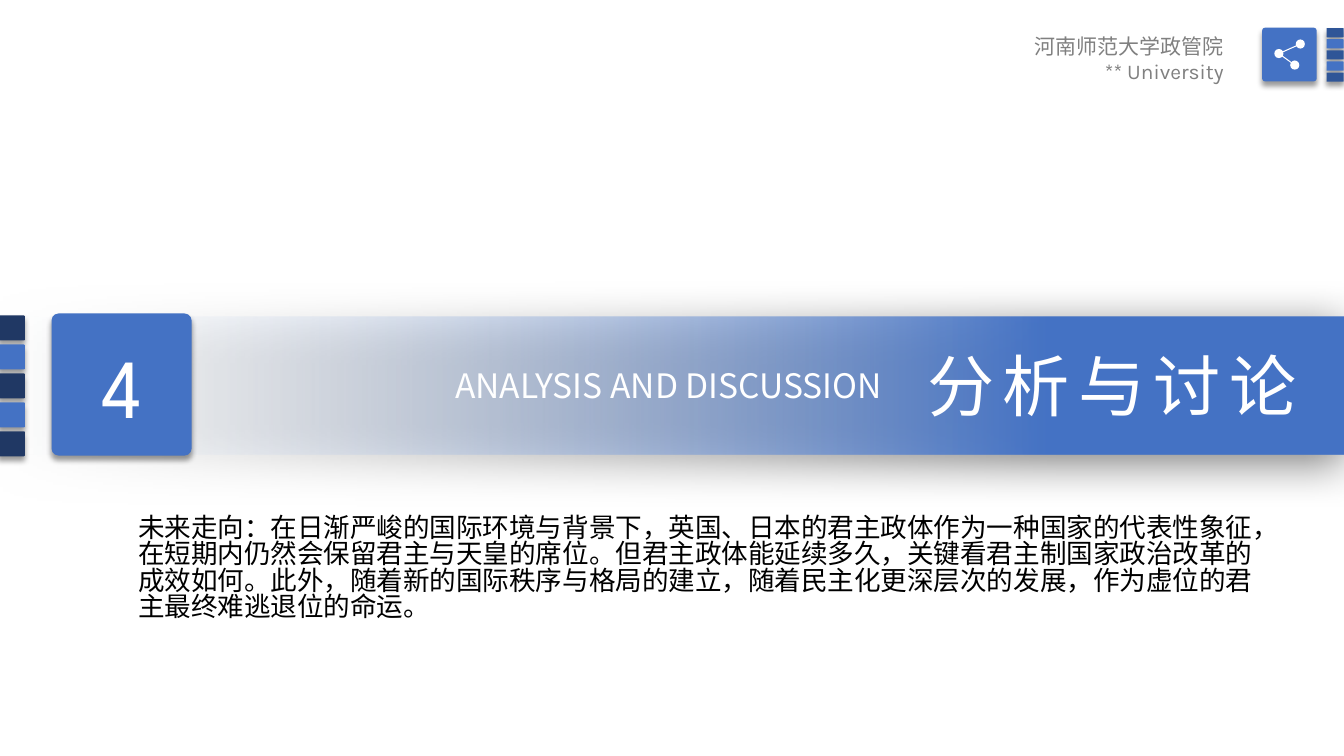
"""Build the section slide "分析与讨论" with its banner, header mark and summary."""
from dataclasses import dataclass
from typing import Any

from lxml import etree
from pptx import Presentation
from pptx import util as u
from pptx.dml.color import RGBColor
from pptx.enum import shapes, text
from pptx.oxml import ns

BLUE = RGBColor(0x44, 0x72, 0xC4)
NAVY = RGBColor(0x20, 0x38, 0x64)
DEEP = RGBColor(0x2F, 0x55, 0x97)
PALE = RGBColor(0xF7, 0xFA, 0xFD)
GREY = RGBColor(0x80, 0x80, 0x80)
WHITE = RGBColor(0xFF, 0xFF, 0xFF)
BLACK = RGBColor(0, 0, 0)
CJK, SPARTAN, KARLA = "Noto Sans CJK SC", "League Spartan", "Karla"
RECT, ROUND, OVAL = (
    shapes.MSO_SHAPE.RECTANGLE,
    shapes.MSO_SHAPE.ROUNDED_RECTANGLE,
    shapes.MSO_SHAPE.OVAL,
)
LEFT, CENTER, RIGHT = text.PP_ALIGN.LEFT, text.PP_ALIGN.CENTER, text.PP_ALIGN.RIGHT


@dataclass(frozen=True)
class Box:
    """Position and size in centimetres."""
    left: float
    top: float
    width: float
    height: float

    def emu(self) -> tuple[int, int, int, int]:
        """Return the box as lengths for python-pptx."""
        return u.Cm(self.left), u.Cm(self.top), u.Cm(self.width), u.Cm(self.height)


@dataclass(frozen=True)
class Style:
    """Font and alignment of a paragraph."""
    size: float
    font: str
    color: RGBColor
    align: Any = LEFT


@dataclass(frozen=True)
class Shadow:
    """Outer shadow: lengths in points, angle in degrees, opacity in percent."""
    blur: float
    dist: float
    angle: float
    opacity: int


@dataclass(frozen=True)
class Stack:
    """Column of small bars in alternating colours."""
    first: Box
    pitch: float
    colors: tuple[RGBColor, RGBColor]


TILE_SHADOW = Shadow(4, 3, 90, 40)
BAND_SHADOW = Shadow(31, 6, 97, 50)
BAR_COUNT = 5
STACKS = (
    Stack(Box(-0.05, 7.95, 0.68, 0.63), 0.73, (NAVY, BLUE)),
    Stack(Box(33.43, 0.71, 0.43, 0.23), 0.28, (DEEP, BLUE)),
)
SHARE_HUB = (32.23, 1.35)
SHARE_ENDS = ((32.77, 1.11), (32.63, 1.64))
SHARE_DOT = 0.23
SUMMARY = (
    "未来走向：在日渐严峻的国际环境与背景下，英国、日本的君主政体作为一种国家的代表性象征，"
    "在短期内仍然会保留君主与天皇的席位。但君主政体能延续多久，关键看君主制国家政治改革的"
    "成效如何。此外，随着新的国际秩序与格局的建立，随着民主化更深层次的发展，作为虚位的君"
    "主最终难逃退位的命运。"
)


def add_shadow(sp: Any, shadow: Shadow) -> None:
    """Give a shape a black outer shadow."""
    sp.shadow.inherit = False
    effects = sp._element.spPr.find(ns.qn("a:effectLst"))
    outer = etree.SubElement(
        effects, ns.qn("a:outerShdw"), blurRad=str(u.Pt(shadow.blur)),
        dist=str(u.Pt(shadow.dist)), dir=str(int(shadow.angle * 60000)),
        algn="ctr", rotWithShape="0")
    color = etree.SubElement(outer, ns.qn("a:srgbClr"), val=str(BLACK))
    etree.SubElement(color, ns.qn("a:alpha"), val=str(shadow.opacity * 1000))


def add_solid(s: Any, kind: Any, box: Box, color: RGBColor) -> Any:
    """Add a filled shape without outline or shadow."""
    sp = s.shapes.add_shape(kind, *box.emu())
    sp.fill.solid()
    sp.fill.fore_color.rgb = color
    sp.line.fill.background()
    sp.shadow.inherit = False
    return sp


def add_tile(s: Any, box: Box, color: RGBColor) -> Any:
    """Add a slightly rounded tile with a soft shadow."""
    sp = add_solid(s, ROUND, box, color)
    sp.adjustments[0] = 0.05
    add_shadow(sp, TILE_SHADOW)
    return sp


def add_band(s: Any) -> None:
    """Add the banner that fades from clear to blue."""
    sp = add_solid(s, RECT, Box(0, 7.98, 33.87, 3.48), BLUE)
    sp.fill.gradient()
    sp.fill.gradient_angle = 0
    clear, full = sp.fill.gradient_stops
    clear.position, full.position = 0, 0.78
    clear.color.rgb, full.color.rgb = PALE, BLUE
    first = sp._element.spPr.find(".//" + ns.qn("a:srgbClr"))
    etree.SubElement(first, ns.qn("a:alpha"), val="0")
    add_shadow(sp, BAND_SHADOW)


def write(p: Any, words: str, style: Style) -> None:
    """Put words in a paragraph and format it."""
    p.text = words
    p.alignment = style.align
    p.font.size = u.Pt(style.size)
    p.font.color.rgb = style.color
    p.font.name = style.font
    defaults = p._p.get_or_add_pPr().get_or_add_defRPr()
    etree.SubElement(defaults, ns.qn("a:ea"), typeface=style.font)


def add_text(s: Any, box: Box, words: str, style: Style, wrap: bool = True) -> Any:
    """Add a text box with one paragraph and return its frame."""
    tf = s.shapes.add_textbox(*box.emu()).text_frame
    tf.word_wrap = wrap
    write(tf.paragraphs[0], words, style)
    return tf


def add_title(s: Any) -> None:
    """Place the title placeholder on the banner."""
    title = s.shapes.title
    s.shapes._spTree.append(title._element)
    title.left, title.top, title.width, title.height = Box(23.11, 8.56, 10.08, 2.39).emu()
    tf = title.text_frame
    tf.auto_size = text.MSO_AUTO_SIZE.NONE
    tf.word_wrap = False
    tf.vertical_anchor = text.MSO_ANCHOR.TOP
    write(tf.paragraphs[0], "分析与讨论", Style(48, CJK, WHITE))
    tf.paragraphs[0].runs[0]._r.get_or_add_rPr().set("spc", "600")


def add_stack(s: Any, stack: Stack) -> None:
    """Add a column of bars."""
    b = stack.first
    for i in range(BAR_COUNT):
        box = Box(b.left, b.top + i * stack.pitch, b.width, b.height)
        add_tile(s, box, stack.colors[i % 2])


def add_share_icon(s: Any) -> None:
    """Add three dots joined by two lines."""
    for end in SHARE_ENDS:
        line = s.shapes.add_connector(
            shapes.MSO_CONNECTOR.STRAIGHT, *map(u.Cm, SHARE_HUB + end))
        line.line.color.rgb = WHITE
        line.line.width = u.Pt(0.75)
        etree.SubElement(line._element.spPr, ns.qn("a:effectLst"))
    for x, y in (SHARE_HUB, *SHARE_ENDS):
        dot = Box(x - SHARE_DOT / 2, y - SHARE_DOT / 2, SHARE_DOT, SHARE_DOT)
        add_solid(s, OVAL, dot, WHITE)


def main() -> None:
    """Build and save the slide."""
    prs = Presentation()
    prs.slide_width, prs.slide_height = u.Cm(33.87), u.Cm(19.05)
    s = prs.slides.add_slide(prs.slide_layouts.get_by_name("Title Only"))
    add_band(s)
    number = add_tile(s, Box(1.3, 7.9, 3.53, 3.58), BLUE).text_frame
    number.vertical_anchor = text.MSO_ANCHOR.MIDDLE
    write(number.paragraphs[0], "4", Style(60, SPARTAN, WHITE, CENTER))
    add_title(s)
    add_text(s, Box(10.74, 9.07, 12.22, 1.27), "ANALYSIS AND DISCUSSION",
             Style(24, CJK, WHITE, CENTER), wrap=False)
    for stack in STACKS:
        add_stack(s, stack)
    add_tile(s, Box(31.81, 0.7, 1.37, 1.35), BLUE)
    add_share_icon(s)
    header = add_text(s, Box(25.78, 0.71, 6.02, 1.52), "河南师范大学政管院",
                      Style(15, CJK, GREY, RIGHT))
    header.paragraphs[0]._p.get_or_add_pPr().set("marR", str(u.Cm(0.71)))
    write(header.add_paragraph(), "** University", Style(15, KARLA, GREY, RIGHT))
    summary = add_text(s, Box(3.23, 12.88, 28.88, 4.09), SUMMARY, Style(19, SPARTAN, BLACK))
    summary.paragraphs[0].line_spacing = 0.83
    prs.save("out.pptx")


if __name__ == "__main__":
    main()
